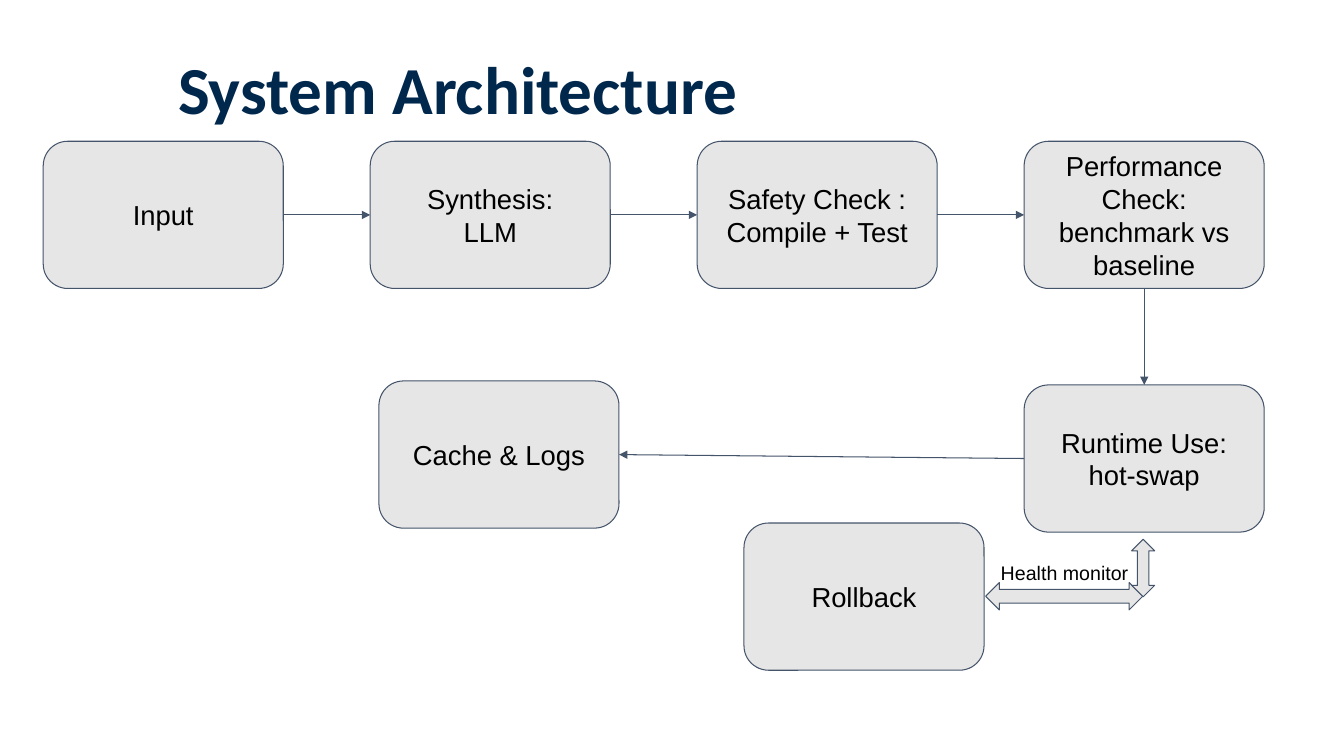
from lxml import etree
from pptx import Presentation
from pptx.dml.color import RGBColor
from pptx.enum.shapes import MSO_CONNECTOR, MSO_SHAPE
from pptx.enum.text import MSO_ANCHOR as Anchor, PP_ALIGN as Align
from pptx.oxml.ns import qn
from pptx.util import Cm, Pt

TITLE = "System Architecture"
MONITOR = "Health monitor"
NAVY, SLATE, GREY, BLACK = "00274C", "44546A", "E7E6E6", "000000"

BOX_WIDTH, BOX_HEIGHT = 6.05, 3.71
ROW_LEFT, ROW_TOP, ROW_STEP = 1.09, 3.56, 8.24
PIPELINE = [
    "Input",
    "Synthesis:\nLLM",
    "Safety Check : Compile + Test",
    "Performance Check: benchmark vs baseline",
]
LOWER_STEPS = [  # text, left, top
    ("Runtime Use: hot-swap", ROW_LEFT + 3 * ROW_STEP, 9.7),
    ("Cache & Logs", 9.55, 9.6),
    ("Rollback", 18.75, 13.18),
]
TOP, LEFT, BOTTOM, RIGHT = range(4)
LINKS = [  # from step, side, to step, side
    (0, RIGHT, 1, LEFT),
    (1, RIGHT, 2, LEFT),
    (2, RIGHT, 3, LEFT),
    (3, BOTTOM, 4, TOP),
    (4, LEFT, 5, RIGHT),
]
BLOCK_ARROWS = [
    (MSO_SHAPE.LEFT_RIGHT_ARROW, (24.84, 14.68, 3.96, 0.69)),
    (MSO_SHAPE.UP_DOWN_ARROW, (28.52, 13.59, 0.58, 1.45)),
]


def color(hex_text):
    return RGBColor.from_string(hex_text)


def write(shape, text, size, font="Arial", ink=BLACK, bold=False,
          align=Align.LEFT, anchor=Anchor.TOP, inset=0.25, spacing=None):
    frame = shape.text_frame
    frame.word_wrap = True
    frame.vertical_anchor = anchor
    frame.margin_left = frame.margin_right = Cm(0.25)
    frame.margin_top = frame.margin_bottom = Cm(inset)
    frame.text = text
    for para in frame.paragraphs:
        para.alignment = align
        para.line_spacing = spacing
        for span in para.runs:
            span.font.name = font
            span.font.size = Pt(size)
            span.font.bold = bold
            span.font.color.rgb = color(ink)


def add_outlined(page, kind, place):
    """Add a grey shape with a thin slate outline."""
    shape = page.shapes.add_shape(kind, *map(Cm, place))
    shape.shadow.inherit = False
    shape.fill.solid()
    shape.fill.fore_color.rgb = color(GREY)
    shape.line.color.rgb = color(SLATE)
    shape.line.width = Pt(0.75)
    return shape


def add_step(page, text, left, top):
    box = add_outlined(page, MSO_SHAPE.ROUNDED_RECTANGLE,
                       (left, top, BOX_WIDTH, BOX_HEIGHT))
    write(box, text, 19.6, align=Align.CENTER, anchor=Anchor.MIDDLE)
    return box


def add_link(page, start, start_side, end, end_side):
    link = page.shapes.add_connector(MSO_CONNECTOR.STRAIGHT, 0, 0, 0, 0)
    link.begin_connect(start, start_side)
    link.end_connect(end, end_side)
    link.line.color.rgb = color(SLATE)
    link.line.width = Pt(0.75)
    etree.SubElement(link.line._get_or_add_ln(), qn("a:tailEnd"), type="triangle")
    etree.SubElement(link._element.spPr, qn("a:effectLst"))


def main():
    deck = Presentation()
    deck.slide_width, deck.slide_height = Cm(33.87), Cm(19.05)
    page = deck.slides.add_slide(deck.slide_layouts[6])

    title = page.shapes.add_textbox(Cm(4.24), Cm(0.99), Cm(25.4), Cm(2.39))
    write(title, TITLE, 48, font="Calibri", ink=NAVY, bold=True,
          anchor=Anchor.BOTTOM, inset=0.13, spacing=0.9)

    row = [(text, ROW_LEFT + i * ROW_STEP, ROW_TOP) for i, text in enumerate(PIPELINE)]
    steps = [add_step(page, *step) for step in row + LOWER_STEPS]
    for start, start_side, end, end_side in LINKS:
        add_link(page, steps[start], start_side, steps[end], end_side)
    for kind, place in BLOCK_ARROWS:
        add_outlined(page, kind, place)

    label = page.shapes.add_textbox(Cm(24.97), Cm(13.89), Cm(4.14), Cm(0.69))
    write(label, MONITOR, 14)

    deck.save("out.pptx")


if __name__ == "__main__":
    main()
